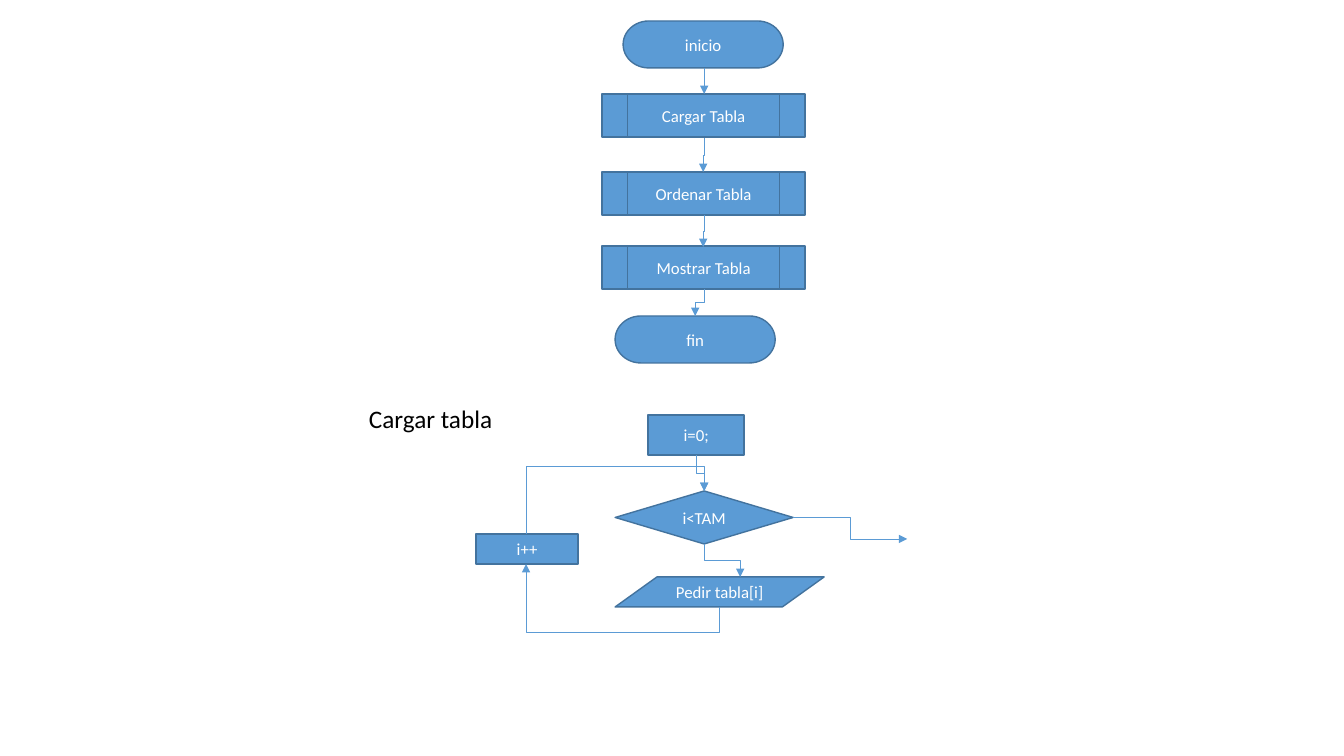
from lxml import etree
from pptx import Presentation
from pptx.dml.color import RGBColor
from pptx.enum.shapes import MSO_CONNECTOR, MSO_SHAPE
from pptx.enum.text import MSO_ANCHOR, PP_ALIGN
from pptx.oxml.ns import qn
from pptx.util import Emu, Inches, Pt

BLUE = RGBColor(0x5B, 0x9B, 0xD5)
EDGE = RGBColor(0x43, 0x73, 0x9E)
WHITE = RGBColor(255, 255, 255)
BLACK = RGBColor(0, 0, 0)
ELBOW = MSO_CONNECTOR.ELBOW
PILL = MSO_SHAPE.FLOWCHART_TERMINATOR
CALL = MSO_SHAPE.FLOWCHART_PREDEFINED_PROCESS
TEST = MSO_SHAPE.FLOWCHART_DECISION
INPUT = MSO_SHAPE.FLOWCHART_DATA
RECT = MSO_SHAPE.RECTANGLE
LEFT, CENTER = PP_ALIGN.LEFT, PP_ALIGN.CENTER
TOP, MIDDLE = MSO_ANCHOR.TOP, MSO_ANCHOR.MIDDLE
SCALE = 914400 / 100.8


def px(num):
    """Turn pixels into EMU."""
    return Emu(round(num * SCALE))


def write(frame, text, size=12, color=WHITE, align=CENTER, anchor=MIDDLE, wrap=True):
    """Put one formatted line of text in a frame."""
    frame.word_wrap = wrap
    frame.vertical_anchor = anchor
    par = frame.paragraphs[0]
    par.alignment = align
    run = par.add_run()
    run.text = text
    run.font.name = "Calibri"
    run.font.size = Pt(size)
    run.font.color.rgb = color


class Chart:
    """Flow chart style and the slide it is drawn on."""

    fill, edge, width, thin = BLUE, EDGE, Pt(1), Pt(0.5)

    def __init__(self, slide):
        """Keep the shapes of the slide."""
        self.shapes = slide.shapes

    def node(self, kind, text, *box):
        """Add a filled step with centred text."""
        shape = self.shapes.add_shape(kind, *map(px, box))
        shape.shadow.inherit = False
        shape.fill.solid()
        shape.fill.fore_color.rgb = self.fill
        shape.line.color.rgb = self.edge
        shape.line.width = self.width
        write(shape.text_frame, text)

    def label(self, text, *box):
        """Add a plain heading."""
        frame = self.shapes.add_textbox(*map(px, box)).text_frame
        write(frame, text, size=18, color=BLACK, align=LEFT, anchor=TOP, wrap=False)

    def arrow(self, x1, y1, x2, y2):
        """Add an elbow arrow that leaves sideways."""
        link = self.shapes.add_connector(ELBOW, *map(px, (x1, y1, x2, y2)))
        link.line.color.rgb = self.fill
        link.line.width = self.thin
        props = link._element.spPr
        line = props.find(qn("a:ln"))
        etree.SubElement(line, qn("a:tailEnd"), type="triangle")
        etree.SubElement(props, qn("a:effectLst"))
        return props

    def drop(self, x1, y1, x2, y2, bend=None):
        """Add an elbow arrow that leaves up or down and turns at height bend."""
        right, rise = x2 > x1, y2 < y1
        wide, high = abs(y2 - y1) / 2, abs(x2 - x1) / 2
        if right or rise:
            wide = -wide
        if right and rise:
            high = -high
        midx, midy = (x1 + x2) / 2, (y1 + y2) / 2
        props = self.arrow(midx - wide, midy - high, midx + wide, midy + high)
        turn = 270 if right and not rise else 90
        props.find(qn("a:xfrm")).set("rot", str(turn * 60000))
        if bend is not None:
            part = round((bend - y1) / (y2 - y1) * 100000)
            guides = props.find(qn("a:prstGeom")).find(qn("a:avLst"))
            etree.SubElement(guides, qn("a:gd"), name="adj1", fmla=f"val {part}")


deck = Presentation()
deck.slide_width, deck.slide_height = Inches(13.33), Inches(7.5)
chart = Chart(deck.slides.add_slide(deck.slide_layouts[6]))

# Main program
AXIS = 704
chart.node(PILL, "inicio", 623, 21, 160, 47)
for top, verb in ((94, "Cargar"), (172, "Ordenar"), (246, "Mostrar")):
    chart.node(CALL, f"{verb} Tabla", 602, top, 203, 43)
chart.node(PILL, "fin", 615, 316, 160, 47)
for start, x, end in ((68, AXIS, 94), (138, 703, 172), (215, 703, 247), (289, 695, 316)):
    chart.drop(AXIS, start, x, end)

# Loop that loads the table
chart.label("Cargar tabla", 359, 398, 145, 40)
chart.node(RECT, "i=0;", 648, 415, 96, 40)
chart.node(TEST, "i<TAM", 615, 491, 178, 53)
chart.node(INPUT, "Pedir tabla[i]", 615, 577, 209, 30)
chart.node(RECT, "i++", 476, 534, 102, 30)
chart.drop(696, 455, AXIS, 491)
chart.drop(AXIS, 544, 740, 577)
chart.drop(719, 607, 526, 564, bend=632)
chart.drop(526, 534, AXIS, 491, bend=466)
chart.arrow(793, 517, 907, 539)

deck.save("out.pptx")
